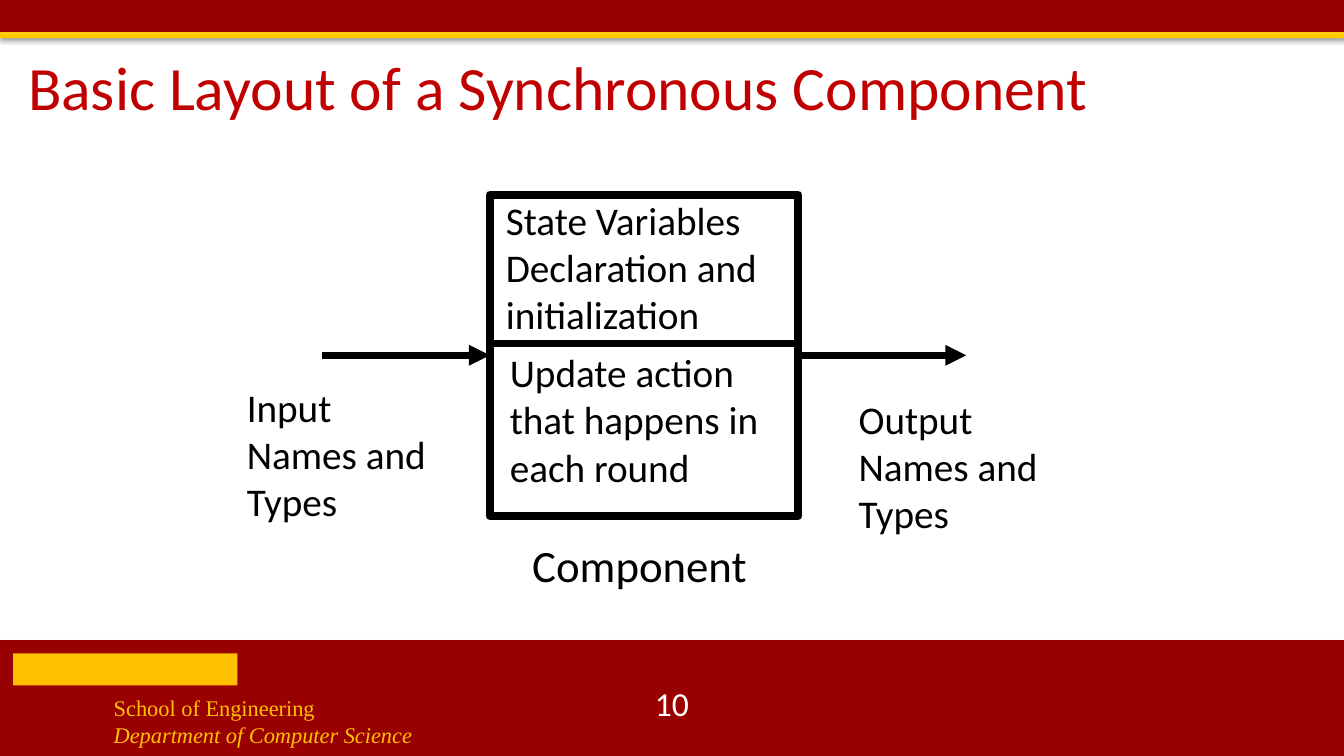
from dataclasses import dataclass

from lxml import etree
from pptx import Presentation
from pptx import util as u
from pptx.dml.color import RGBColor
from pptx.enum import shapes, text
from pptx.oxml import ns

COLS, ROWS = 160, 90


@dataclass(frozen=True)
class Theme:
    red: str = "990000"
    gold: str = "FFCC00"
    amber: str = "FFC000"
    head: str = "C00000"
    ink: str = "000000"
    paper: str = "FFFFFF"
    sans: str = "Calibri"
    serif: str = "Times New Roman"
    title: int = 44
    large: int = 32
    body: int = 28
    page: int = 24
    small: int = 16
    frame: float = 5.75
    rule: float = 5


class Board:
    """Holds the theme and the slide; lengths are in grid columns and rows."""

    def __init__(self, deck, theme):
        self.theme = theme
        self.slide = deck.slides.add_slide(deck.slide_layouts[6])
        self.col = deck.slide_width / COLS
        self.row = deck.slide_height / ROWS

    def place(self, x, y, w, h):
        return [round(v * k) for v, k in zip((x, y, w, h), (self.col, self.row) * 2)]

    def node(self, root, tag, **attrs):
        return etree.SubElement(root, ns.qn(tag), attrs)

    def block(self, at, fill, edge=None):
        box = self.slide.shapes.add_shape(shapes.MSO_SHAPE.RECTANGLE, *self.place(*at))
        box.shadow.inherit = False
        box.fill.solid()
        box.fill.fore_color.rgb = RGBColor.from_string(fill)
        if edge:
            self.ink(box.line, edge)
        else:
            box.line.fill.background()
        return box

    def band(self, at, fill, alpha=35, dist=1.8):
        bar = self.block(at, fill)
        glow = bar._element.spPr.find(ns.qn("a:effectLst"))
        cast = self.node(glow, "a:outerShdw", blurRad=str(u.Pt(3.1)),
                         dist=str(u.Pt(dist)), dir="5400000", rotWithShape="0")
        tint = self.node(cast, "a:srgbClr", val=self.theme.ink)
        self.node(tint, "a:alpha", val=str(alpha * 1000))

    def ink(self, line, width):
        line.color.rgb = RGBColor.from_string(self.theme.ink)
        line.width = u.Pt(width)

    def link(self, start, end, arrow=False):
        ends = self.place(*start, *end)
        line = self.slide.shapes.add_connector(shapes.MSO_CONNECTOR.STRAIGHT, *ends)
        self.ink(line.line, self.theme.rule)
        props = line._element.spPr
        if arrow:
            self.node(props.find(ns.qn("a:ln")), "a:tailEnd", type="triangle")
        self.node(props, "a:effectLst")
        return line

    def style(self, font, **form):
        form = {"name": self.theme.sans, "size": self.theme.body, **form}
        font.color.rgb = RGBColor.from_string(form.pop("color", self.theme.ink))
        form["size"] = u.Pt(form["size"])
        for key, val in form.items():
            setattr(font, key, val)

    def label(self, at, *lines, mid=False, wrap=True, center=False, space=None, **form):
        area = self.slide.shapes.add_textbox(*self.place(*at)).text_frame
        area.word_wrap = wrap
        anchor = text.MSO_ANCHOR
        area.vertical_anchor = anchor.MIDDLE if mid else anchor.TOP
        for i, (words, extra) in enumerate(lines):
            para = area.add_paragraph() if i else area.paragraphs[0]
            if center:
                para.alignment = text.PP_ALIGN.CENTER
            para.line_spacing = space
            run = para.add_run()
            run.text = words
            self.style(run.font, **form, **extra)


def main():
    deck = Presentation()
    deck.slide_width, deck.slide_height = u.Inches(13.33), u.Inches(7.5)
    t = Theme()
    board = Board(deck, t)

    # Footer with a plain bar and the department
    board.band((0, 76.2, COLS, 13.8), t.red)
    board.block((1.56, 77.8, 26.7, 3.8), t.amber)
    board.label((12.36, 82, 63, 7.6), ("School of Engineering", {}),
                ("Department of Computer Science", {"italic": True}),
                name=t.serif, size=t.small, color=t.amber)

    # Header bands
    board.band((0, 0, COLS, 4), t.red)
    board.band((0, 3.84, COLS, 0.72), t.gold, 38, 1.6)

    # Title and page number
    board.label((2.16, 5.64, 143.28, 10.2),
                ("Basic Layout of a Synchronous Component", {}),
                mid=True, space=0.9, size=t.title, color=t.head)
    board.label((62, 81.36, 36, 4.8), ("10", {}), mid=True, center=True,
                size=t.page, color=t.paper)

    # Component box with its input and output arrows
    left, top, wide, high = 58.32, 23.16, 36.72, 38.28
    right, mid, split, reach = left + wide, top + high / 2, 40.92, 20
    box = board.block((left, top, wide, high), t.paper, t.frame)
    board.link((left - reach, mid), (left, mid), arrow=True).end_connect(box, 1)
    board.link((right, mid), (right + reach, mid), arrow=True).begin_connect(box, 3)
    board.link((left, split), (right, split))

    # Labels
    for x, y, w, words in (
        (28.2, 45, 26.16, "Input Names and Types"),
        (59.04, 22.8, 35.16, "State Variables Declaration and initialization"),
        (101.04, 46.44, 26.16, "Output Names and Types"),
        (59.52, split, 35.16, "Update action that happens in each round"),
    ):
        board.label((x, y, w, 18.12), (words, {}))
    board.label((62.04, 63.48, 28.2, 7.68), ("Component", {}),
                wrap=False, center=True, size=t.large)

    deck.save("out.pptx")


if __name__ == "__main__":
    main()
